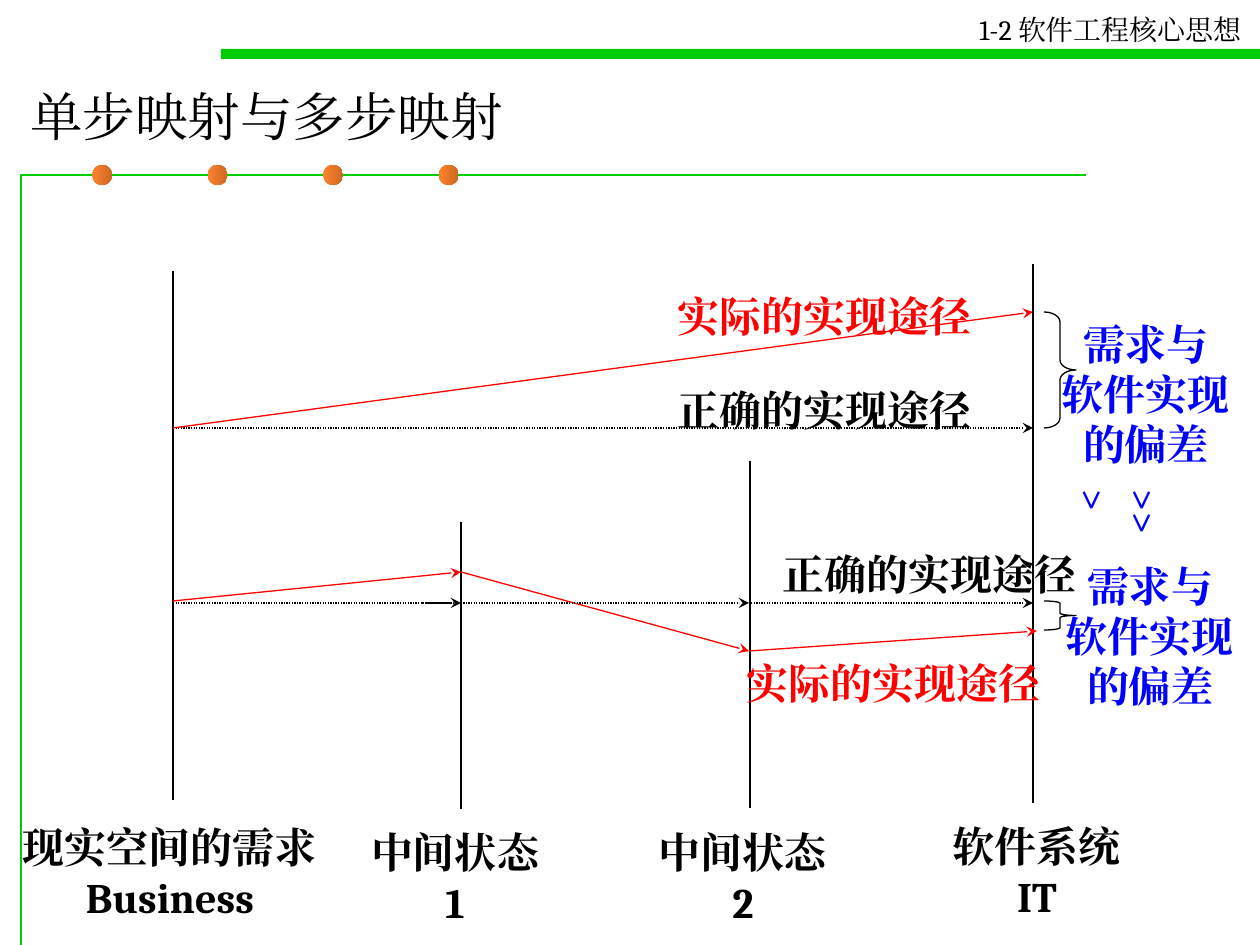
from lxml import etree
from pptx import Presentation
from pptx import util as u
from pptx.dml.color import RGBColor
from pptx.enum import dml, shapes, text
from pptx.oxml.ns import qn

SCALE = 914400 / 126
FONT = "Cambria"
COLORS = {
    "black": "000000",
    "red": "FF0000",
    "blue": "0000FF",
    "green": "00CC00",
    "orange": "FF822D",
    "brown": "CD6924",
}


def px(value):
    return u.Emu(round(value * SCALE))


def rgb(name):
    return RGBColor.from_string(COLORS[name])


def add_text(slide, box, lines, size=24, color="black", bold=False,
             align=text.PP_ALIGN.LEFT, anchor=text.MSO_ANCHOR.TOP, vertical=False):
    shape = slide.shapes.add_textbox(*map(px, box))
    frame = shape.text_frame
    frame.word_wrap = True
    frame.vertical_anchor = anchor
    if vertical:
        frame._txBody.bodyPr.set("vert", "eaVert")
    for index, line in enumerate(lines):
        paragraph = frame.paragraphs[0] if index == 0 else frame.add_paragraph()
        paragraph.alignment = align
        run = paragraph.add_run()
        run.text = line
        run.font.size = u.Pt(size)
        run.font.bold = bold
        run.font.name = FONT
        run.font.color.rgb = rgb(color)
        east_asian = etree.SubElement(run.font._element, qn("a:ea"))
        east_asian.set("typeface", FONT)


def add_label(slide, box, lines, color="black"):
    add_text(slide, box, lines, color=color, bold=True, align=text.PP_ALIGN.CENTER)


def add_line(slide, start, end, color="black", arrow=False, dotted=False):
    line = slide.shapes.add_connector(
        shapes.MSO_CONNECTOR.STRAIGHT, *map(px, (*start, *end)))
    line.line.color.rgb = rgb(color)
    line.line.width = u.Pt(0.75)
    if dotted:
        line.line.dash_style = dml.MSO_LINE.ROUND_DOT
    if arrow:
        tail = etree.SubElement(line.line._get_or_add_ln(), qn("a:tailEnd"))
        tail.set("type", "stealth")
    etree.SubElement(line._element.spPr, qn("a:effectLst"))


def add_shape(slide, kind, box):
    shape = slide.shapes.add_shape(kind, *map(px, box))
    shape.shadow.inherit = False
    return shape


def add_dot(slide, left):
    dot = add_shape(slide, shapes.MSO_SHAPE.OVAL, (left, 165, 20, 20))
    dot.line.fill.background()
    dot.fill.gradient()
    dot.fill.gradient_angle = 0
    for stop, color in zip(dot.fill.gradient_stops, ("orange", "brown")):
        stop.color.rgb = rgb(color)


def add_brace(slide, top, height, curve):
    brace = add_shape(slide, shapes.MSO_SHAPE.RIGHT_BRACE, (1044, top, 32, height))
    brace.adjustments[0] = curve
    brace.fill.background()
    brace.line.color.rgb = rgb("black")
    brace.line.width = u.Pt(0.75)


def add_frame(slide):
    builder = slide.shapes.build_freeform(px(21), px(945))
    builder.add_line_segments([(px(21), px(175)), (px(1086), px(175))], close=False)
    corner = builder.convert_to_shape()
    corner.shadow.inherit = False
    corner.fill.background()
    corner.line.color.rgb = rgb("green")
    corner.line.width = u.Pt(0.75)

    for index in range(4):
        add_dot(slide, 92 + 115.5 * index)

    bar = add_shape(slide, shapes.MSO_SHAPE.RECTANGLE, (221, 49, 1039, 10))
    bar.fill.solid()
    bar.fill.fore_color.rgb = rgb("green")
    bar.line.fill.background()


def main():
    presentation = Presentation()
    presentation.slide_width = px(1260)
    presentation.slide_height = px(945)
    slide = presentation.slides.add_slide(presentation.slide_layouts[6])

    # Frame, running head and title
    add_frame(slide)
    add_text(slide, (967, 6, 310, 46), ["1-2 软件工程核心思想"], size=16)
    add_text(slide, (18, 71, 1170, 89), ["单步映射与多步映射"], size=30,
             anchor=text.MSO_ANCHOR.MIDDLE)

    # State axes: x, top, bottom, label box, label lines
    axes = [
        (173, 271, 800, (8, 815, 324, 115), ["现实空间的需求", "Business"]),
        (1033, 264, 803, (939, 814, 196, 115), ["软件系统", "IT"]),
        (461, 522, 809, (350, 820, 210, 115), ["中间状态1"]),
        (750, 461, 808, (638, 820, 210, 115), ["中间状态2"]),
    ]
    for x, top, bottom, box, lines in axes:
        add_line(slide, (x, top), (x, bottom))
        add_label(slide, box, lines)

    # Multi-step paths
    actual = [(173, 601), (461, 572), (749, 651), (1037, 631)]
    for start, end in zip(actual, actual[1:]):
        add_line(slide, start, end, color="red", arrow=True)
    for left, right in [(173, 461), (422, 749), (746, 1033)]:
        add_line(slide, (left, 603), (right, 603), arrow=True, dotted=True)

    # Single-step paths
    add_line(slide, (173, 428), (1033, 428), arrow=True, dotted=True)
    add_line(slide, (173, 428), (1033, 312), color="red", arrow=True)

    # Path names
    for left, top, name, color in [
        (732, 651, "实际的实现途径", "red"),
        (768, 542, "正确的实现途径", "black"),
        (663, 378, "正确的实现途径", "black"),
        (663, 284, "实际的实现途径", "red"),
    ]:
        add_label(slide, (left, top, 324, 64), [name], color=color)

    # Deviations and their comparison
    for top, height, curve, left, label_top in [
        (312, 116, 0.31, 1048, 312),
        (601, 29, 0.08, 1052, 554),
    ]:
        add_brace(slide, top, height, curve)
        add_label(slide, (left, label_top, 196, 165),
                  ["需求与", "软件实现", "的偏差"], color="blue")
    add_text(slide, (1101, 476, 77, 90), [">>>"], color="blue", vertical=True)

    presentation.save("out.pptx")


if __name__ == "__main__":
    main()
